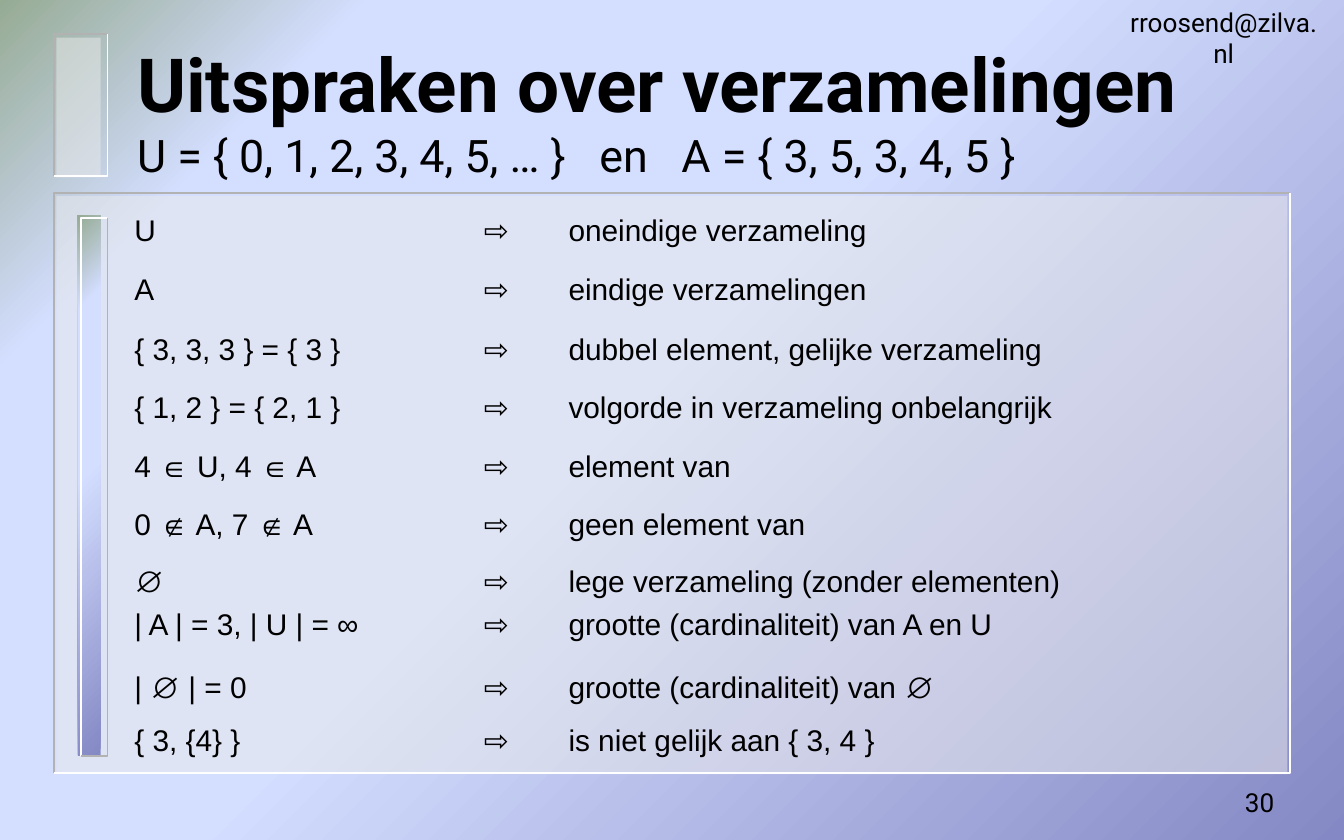
"""Build the slide about statements on sets."""
from lxml.etree import SubElement
from pptx import Presentation
from pptx.dml.color import RGBColor
from pptx.enum.shapes import MSO_SHAPE as SHAPE
from pptx.enum.text import MSO_ANCHOR as ANCHOR, MSO_AUTO_SIZE as AUTO, PP_ALIGN as ALIGN
from pptx.oxml.ns import qn
from pptx.util import Inches, Pt

BLACK = RGBColor(0x00, 0x00, 0x00)
WHITE = RGBColor(0xFF, 0xFF, 0xFF)
GREY = RGBColor(0xB2, 0xB2, 0xB2)
PALE = RGBColor(0xEA, 0xEA, 0xEA)
INDIGO = RGBColor(0x84, 0x88, 0xC4)
SKY = RGBColor(0xD4, 0xDE, 0xFF)
GREEN = RGBColor(0x96, 0xAB, 0x94)
STOPS = [(0, INDIGO), (53, SKY), (83, SKY), (100, GREEN)]
NO_STYLE = "{2D5ABB26-0587-4C30-8999-92F81FD0307C}"

prs = Presentation()
prs.slide_width, prs.slide_height = Inches(10), Inches(6.25)
COL, ROW = prs.slide_width / 100, prs.slide_height / 100
s = prs.slides.add_slide(prs.slide_layouts[5])


def paint_gradient(fill, element):
    fill.gradient()
    fill.gradient_angle = 135
    stops = element.find(".//" + qn("a:gsLst"))
    for gs in list(stops):
        stops.remove(gs)
    for pos, color in STOPS:
        gs = SubElement(stops, qn("a:gs"), pos=str(pos * 1000))
        SubElement(gs, qn("a:srgbClr"), val=str(color))


def add_run(p, text, size, font="Roboto", bold=False):
    r = p.add_run()
    r.text = text
    r.font.size, r.font.name, r.font.bold = Pt(size), font, bold
    r.font.color.rgb = BLACK


paint_gradient(s.background.fill, s.element)

panels = [
    (4.2, 23.36, 95.8, 92.16, GREY, WHITE),
    (5.8, 25.6, 7.5, 89.92, WHITE, GREY),
    (4.2, 4.48, 7.5, 21.12, GREY, WHITE),
]
for left, top, right, bottom, upper, lower in panels:
    sp = s.shapes.add_shape(SHAPE.RECTANGLE, int(left * COL), int(top * ROW),
                            int((right - left) * COL), int((bottom - top) * ROW))
    sp.shadow.inherit = False
    sp.line.fill.background()
    if upper == WHITE:
        paint_gradient(sp.fill, sp.element)
    else:
        sp.fill.solid()
        sp.fill.fore_color.rgb = PALE
        clr = sp.element.spPr.find(".//" + qn("a:srgbClr"))
        SubElement(clr, qn("a:alpha"), val="50000")
    for corner, color in (((left, top), upper), ((right, bottom), lower)):
        fb = s.shapes.build_freeform(right, top, scale=(COL, ROW))
        fb.add_line_segments([corner, (left, bottom)], close=False)
        edge = fb.convert_to_shape()
        edge.shadow.inherit = False
        edge.fill.background()
        edge.line.color.rgb, edge.line.width = color, Pt(1)

title = s.shapes.title
title.left, title.top = int(9.2 * COL), int(4.96 * ROW)
title.width, title.height = int(90.8 * COL), int(16.16 * ROW)
tf = title.text_frame
tf.auto_size, tf.vertical_anchor = AUTO.NONE, ANCHOR.MIDDLE
p = tf.paragraphs[0]
p.alignment = ALIGN.LEFT
tabs = SubElement(p._p.get_or_add_pPr(), qn("a:tabLst"))
for stop in (34.4, 40.5):
    SubElement(tabs, qn("a:tab"), pos=str(int(stop * COL)), algn="l")
add_run(p, "Uitspraken over verzamelingen", 40, bold=True)
p.add_line_break()
add_run(p, "U = { 0, 1, 2, 3, 4, 5, … }\ten\tA = { 3, 5, 3, 4, 5 }", 24)

labels = [
    ("rroosend@zilva.nl", 82.8, 1.12, 16.5, ALIGN.CENTER),
    ("30", 75, 92.16, 20.8, ALIGN.RIGHT),
]
for text, left, top, width, align in labels:
    box = s.shapes.add_textbox(int(left * COL), int(top * ROW), int(width * COL), int(6.72 * ROW))
    tf = box.text_frame
    tf.word_wrap, tf.vertical_anchor = False, ANCHOR.MIDDLE
    p = tf.paragraphs[0]
    p.alignment = align
    add_run(p, text, 14)

tables = [
    (24.8, [("U", "oneindige verzameling", 6.94),
            ("A", "eindige verzamelingen", 6.94)]),
    (38.88, [("{ 3, 3, 3 } = { 3 }", "dubbel element, gelijke verzameling", 6.94),
             ("{ 1, 2 } = { 2, 1 }", "volgorde in verzameling onbelangrijk", 6.94)]),
    (52.8, [("4 ∈ U, 4 ∈ A", "element van", 6.94),
            ("0 ∉ A, 7 ∉ A", "geen element van", 6.94)]),
    (66.56, [("∅", "lege verzameling (zonder elementen)", 6.94)]),
    (71.68, [("| A | = 3, | U | = ∞", "grootte (cardinaliteit) van A en U", 7.52),
             ("| ∅ | = 0", "grootte (cardinaliteit) van ∅", 6.94)]),
    (85.44, [("{ 3, {4} }", "is niet gelijk aan { 3, 4 }", 6.94)]),
]
for top, rows in tables:
    height = sum(row[2] for row in rows)
    tbl = s.shapes.add_table(len(rows), 3, int(9 * COL), int(top * ROW),
                             int(83.5 * COL), int(height * ROW)).table
    tbl.first_row = tbl.horz_banding = False
    tbl._tbl.tblPr.find(qn("a:tableStyleId")).text = NO_STYLE
    for column, width in zip(tbl.columns, (26, 6.3, 51.2)):
        column.width = int(width * COL)
    for i, (statement, meaning, row_height) in enumerate(rows):
        tbl.rows[i].height = int(row_height * ROW)
        for j, text in enumerate((statement, "⇨", meaning)):
            cell = tbl.cell(i, j)
            cell.fill.background()
            add_run(cell.text_frame.paragraphs[0], text, 16, "Arial")

prs.save("out.pptx")
